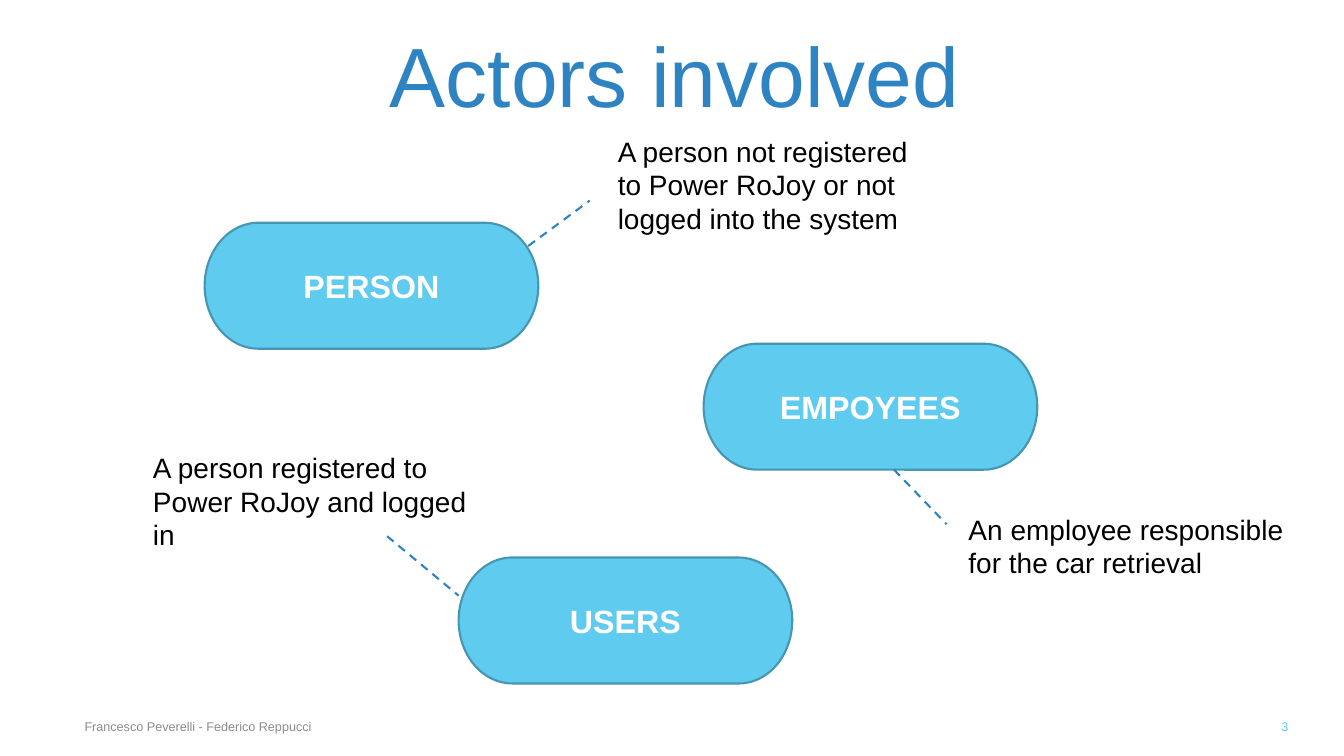
from lxml.etree import SubElement
from pptx import Presentation
from pptx.dml.color import RGBColor
from pptx.enum.dml import MSO_LINE
from pptx.enum.shapes import MSO_CONNECTOR, MSO_SHAPE
from pptx.enum.text import MSO_ANCHOR as Anchor, PP_ALIGN as Align
from pptx.oxml.ns import qn
from pptx.util import Pt


def color(value):
    return RGBColor.from_string(value)


def write(shape, text, size, ink, align=Align.LEFT, anchor=Anchor.TOP, bold=False):
    frame = shape.text_frame
    frame.word_wrap = True
    frame.vertical_anchor = anchor
    para = frame.paragraphs[0]
    para.text = text
    para.alignment = align
    para.font.name = "Arial"
    para.font.size = Pt(size)
    para.font.bold = bold
    para.font.color.rgb = color(ink)


deck = Presentation()
deck.slide_width, deck.slide_height = Pt(960), Pt(540)
slide = deck.slides.add_slide(deck.slide_layouts[6])
shapes = slide.shapes

texts = [
    ("Actors involved", (37.4, 10.8, 889.2, 81.4), 60, "2E83C3", Align.CENTER, Anchor.BOTTOM),
    ("A person not registered to Power RoJoy or not logged into the system",
     (434.2, 92.2, 241.9, 79.9), 20, "000000", Align.LEFT, Anchor.TOP),
    ("A person registered to Power RoJoy and logged in",
     (102.2, 318.2, 253.4, 79.9), 20, "000000", Align.LEFT, Anchor.TOP),
    ("An employee responsible for the car retrieval",
     (684.7, 362.2, 241.9, 55.4), 20, "000000", Align.LEFT, Anchor.TOP),
    ("Francesco Peverelli - Federico Reppucci",
     (53.3, 504.7, 496.1, 28.8), 9, "8C8C8C", Align.LEFT, Anchor.MIDDLE),
    ("3", (873.4, 504.7, 54, 28.8), 9, "5FCBEF", Align.RIGHT, Anchor.MIDDLE),
]
for text, bounds, size, ink, align, anchor in texts:
    box = shapes.add_textbox(*map(Pt, bounds))
    write(box, text, size, ink, align, anchor)

actors = [
    ("PERSON", 146.2, 159.1, (377.3, 175.7, 421.2, 143.3)),
    ("EMPOYEES", 502.6, 245.5, (638.6, 335.5, 676.1, 374.4)),
    ("USERS", 327.6, 398.2, (276.5, 383, 327.6, 425.5)),
]
for name, left, top, link_ends in actors:
    actor = shapes.add_shape(
        MSO_SHAPE.FLOWCHART_TERMINATOR, Pt(left), Pt(top), Pt(238.3), Pt(90))
    actor.shadow.inherit = False
    actor.fill.solid()
    actor.fill.fore_color.rgb = color("5FCBEF")
    actor.line.color.rgb = color("4696B1")
    actor.line.width = Pt(1.5)
    write(actor, name, 23, "FFFFFF", Align.CENTER, Anchor.MIDDLE, True)

    link = shapes.add_connector(MSO_CONNECTOR.STRAIGHT, *map(Pt, link_ends))
    link.line.color.rgb = color("2E83C3")
    link.line.width = Pt(1.5)
    link.line.dash_style = MSO_LINE.DASH
    SubElement(link._element.spPr, qn("a:effectLst"))

deck.save("out.pptx")
